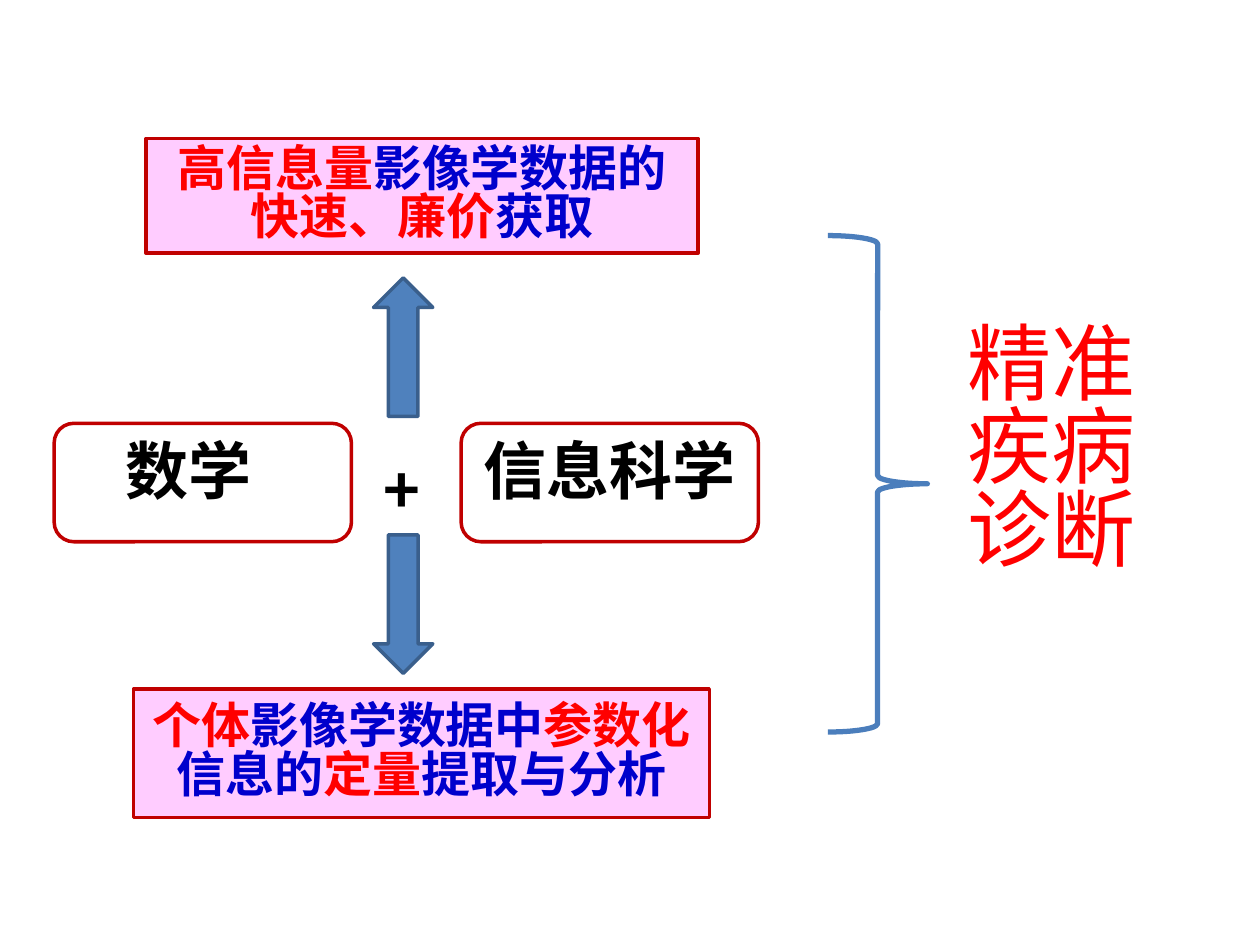
from lxml import etree
from pptx import Presentation
from pptx.dml.color import RGBColor
from pptx.enum.shapes import MSO_SHAPE
from pptx.enum.text import MSO_ANCHOR, PP_ALIGN
from pptx.oxml.ns import qn
from pptx.util import Inches, Pt

RECT = MSO_SHAPE.RECTANGLE
ROUNDED = MSO_SHAPE.ROUNDED_RECTANGLE
ARROW = MSO_SHAPE.RIGHT_ARROW
BRACE = MSO_SHAPE.RIGHT_BRACE
MIDDLE, TOP = MSO_ANCHOR.MIDDLE, MSO_ANCHOR.TOP
CENTER, LEFT = PP_ALIGN.CENTER, PP_ALIGN.LEFT

JP, SC, LATIN = "Noto Sans CJK JP", "Noto Sans CJK SC", "Calibri"
CJK_SPACING = 0.82
COLORS = {
    "pink": "FFCCFF", "crimson": "C00000", "red": "FF0000", "navy": "0000CC",
    "black": "000000", "blue": "4F81BD", "edge": "3A5F8C", "brace": "4B7EBC",
}


def color(name):
    return RGBColor.from_string(COLORS[name])


def style(sp, fill, line, width=2):
    if fill:
        sp.fill.solid()
        sp.fill.fore_color.rgb = color(fill)
    else:
        sp.fill.background()
    sp.line.color.rgb = color(line)
    sp.line.width = Pt(width)


def add_shape(s, kind, box, fill, line, width=2, rotation=0):
    sp = s.shapes.add_shape(kind, *map(Inches, box))
    sp.shadow.inherit = False
    sp.rotation = rotation
    style(sp, fill, line, width)
    return sp


def write(sp, paragraphs, size, font, bold=True, align=CENTER, anchor=MIDDLE):
    """Fill a shape with paragraphs, each a list of (text, colour) runs."""
    tf = sp.text_frame
    tf.word_wrap = True
    tf.vertical_anchor = anchor
    for i, runs in enumerate(paragraphs):
        p = tf.add_paragraph() if i else tf.paragraphs[0]
        p.alignment = align
        p.line_spacing = 1.0 if font == LATIN else CJK_SPACING
        for text, name in runs:
            r = p.add_run()
            r.text = text
            r.font.size = Pt(size)
            r.font.bold = bold
            r.font.name = font
            r.font.color.rgb = color(name)
            if font != LATIN:
                ea = etree.SubElement(r.font._element, qn("a:ea"))
                ea.set("typeface", font)


def add_text(s, box, paragraphs, size, font, **options):
    sp = s.shapes.add_textbox(*map(Inches, box))
    write(sp, paragraphs, size, font, anchor=TOP, **options)


def place_title(s, box, runs):
    sp = s.shapes.title
    sp.left, sp.top, sp.width, sp.height = map(Inches, box)
    style(sp, "pink", "crimson")
    write(sp, [runs], 28, JP)


def main():
    prs = Presentation()
    prs.slide_width, prs.slide_height = Inches(10), Inches(7.5)
    s = prs.slides.add_slide(prs.slide_layouts[5])

    place_title(s, (1.06, 5.47, 4.57, 1.02), [
        ("个体", "red"), ("影像学数据中", "navy"), ("参数化", "red"),
        ("信息的", "navy"), ("定量", "red"), ("提取与分析", "navy")])
    acquisition = add_shape(s, RECT, (1.16, 1.1, 4.38, 0.91), "pink", "crimson")
    write(acquisition, [[
        ("高信息量", "red"), ("影像学数据的", "navy"),
        ("快速、廉价", "red"), ("获取", "navy")]], 28, JP)

    for box_left, text_left, text_width, label in (
            (0.43, 0.9, 1.57, "数学"), (3.66, 3.74, 2.24, "信息科学")):
        add_shape(s, ROUNDED, (box_left, 3.36, 2.36, 0.94), None, "crimson")
        add_text(s, (text_left, 3.48, text_width, 0.71),
                 [[(label, "black")]], 36, SC, align=LEFT)
    add_text(s, (2.95, 3.46, 0.71, 0.77), [[("+", "black")]], 40, LATIN,
             align=LEFT)

    for top, rotation in ((2.52, 270), (4.56, 90)):
        add_shape(s, ARROW, (2.65, top, 1.1, 0.47), "blue", "edge",
                  rotation=rotation)

    add_shape(s, BRACE, (6.57, 1.87, 0.79, 3.94), None, "brace", width=3)
    add_text(s, (7.44, 2.56, 1.81, 2.52),
             [[("精准", "red")], [("疾病诊断", "red")]], 48, JP, bold=False)

    prs.save("out.pptx")


if __name__ == "__main__":
    main()
